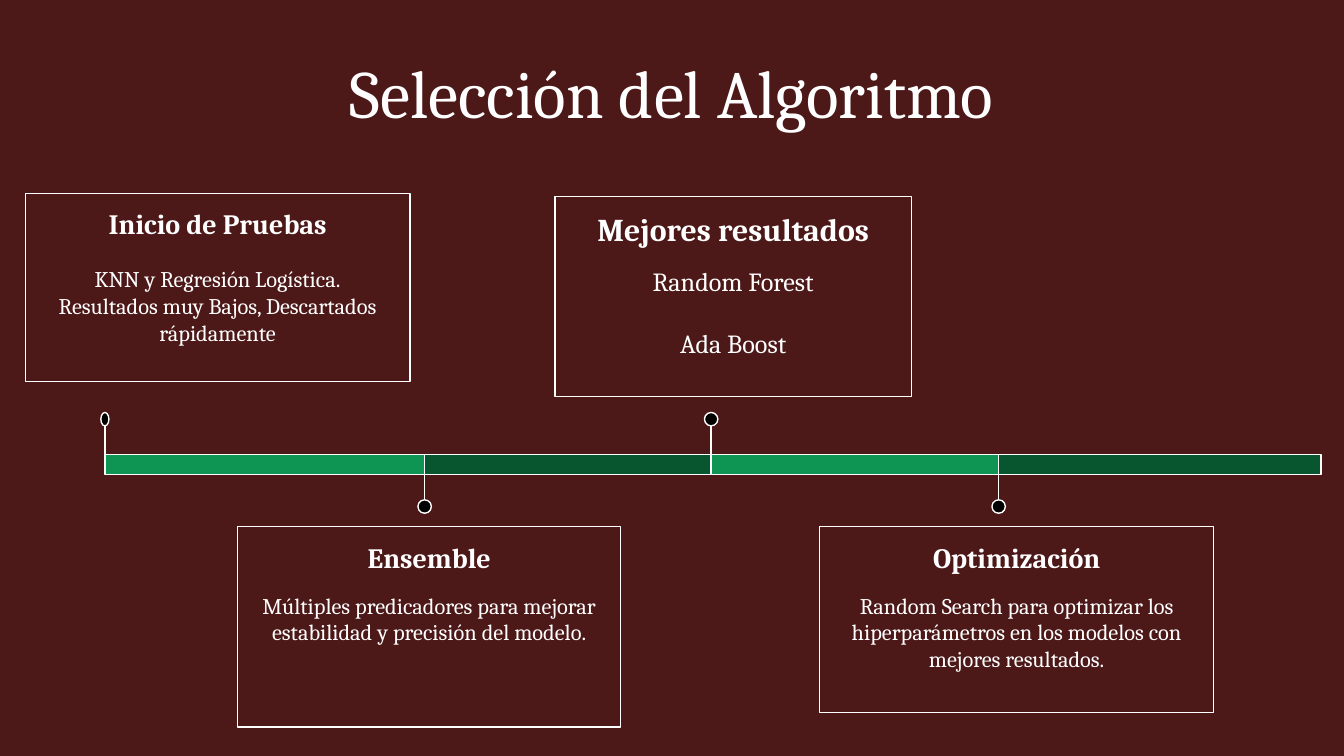
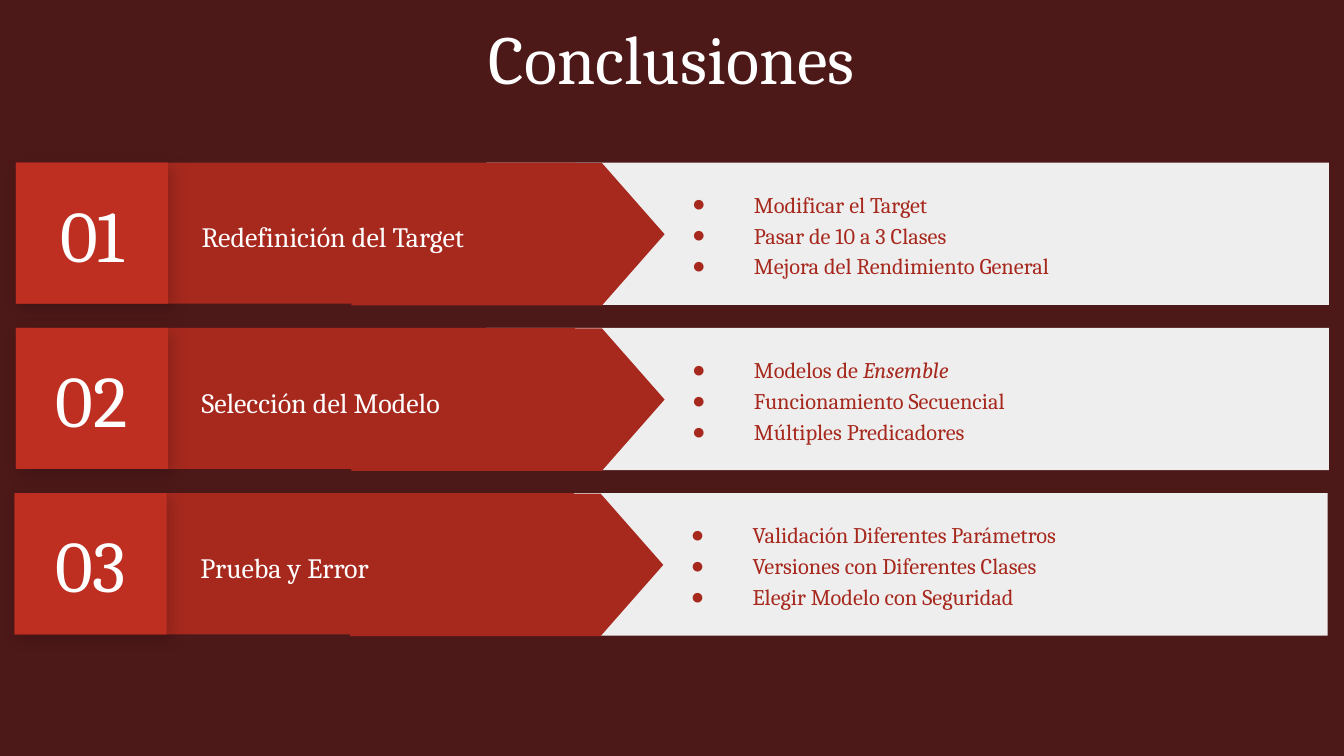
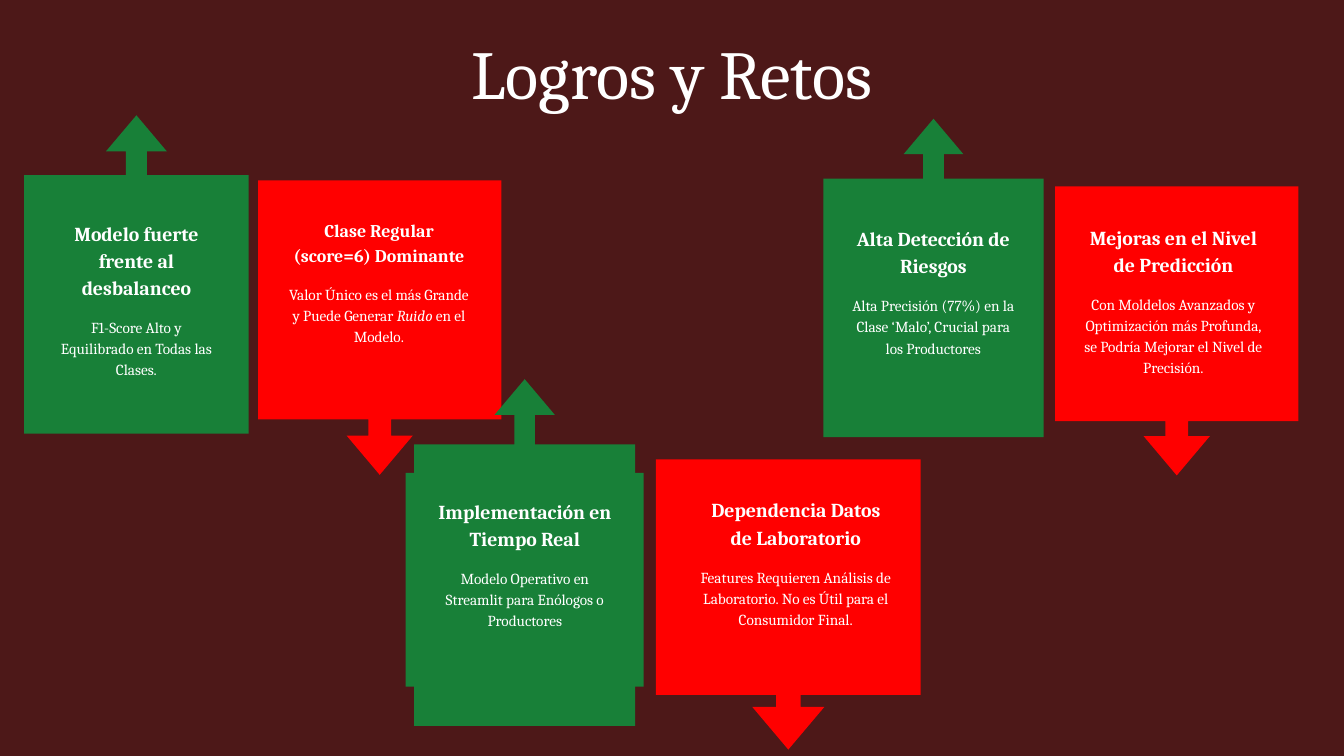
"""Build three slides on algorithm selection, conclusions, and achievements and challenges."""
from lxml import etree
from pptx import Presentation
from pptx.dml.color import RGBColor
from pptx.enum.shapes import MSO_CONNECTOR, MSO_SHAPE
from pptx.enum.text import MSO_ANCHOR, MSO_AUTO_SIZE, PP_ALIGN
from pptx.oxml.ns import qn
from pptx.util import Pt

RECTANGLE, ELLIPSE = MSO_SHAPE.RECTANGLE, MSO_SHAPE.OVAL
CHEVRON_END = MSO_SHAPE.FLOWCHART_OFFPAGE_CONNECTOR
CALLOUT, SNIPPED = MSO_SHAPE.RIGHT_ARROW_CALLOUT, MSO_SHAPE.SNIP_1_RECTANGLE
STRAIGHT = MSO_CONNECTOR.STRAIGHT
TOP, MIDDLE = MSO_ANCHOR.TOP, MSO_ANCHOR.MIDDLE
LEFT, CENTER = PP_ALIGN.LEFT, PP_ALIGN.CENTER
NO_AUTOFIT = MSO_AUTO_SIZE.NONE

FONT = "Cambria"
BACKGROUND, WHITE, BLACK = "4D1818", "FFFFFF", "000000"
TIMELINE_COLORS = ("0E9453", "085630")
PANEL, BAND, NUMBER_COLORS = "EEEEEE", "A7291E", ("B02B20", "BE2F22")
ACHIEVEMENT, CHALLENGE = "188038", "FF0000"
TITLE_ONLY, COMPARISON = 5, 4

BAR_TOP, BAR_HEIGHT, DOT = 243.4, 10.8, 7.2
STAGES = [
    {"bar": (56.2, 174.2), "dot": 4.3, "card": (13.7, 103.7, 205.9, 100.8),
     "title": "Inicio de Pruebas", "sizes": (15, 12), "gaps": (13.2, 0),
     "body": ["KNN y Regresión Logística.", "Resultados muy Bajos, Descartados rápidamente"]},
    {"bar": (227.5, 154), "dot": DOT, "card": (127.4, 282.2, 205.2, 107.3),
     "title": "Ensemble", "sizes": (15, 12), "gaps": (9.6, 0),
     "body": ["Múltiples predicadores para mejorar estabilidad y precisión del modelo."]},
    {"bar": (381, 154), "dot": DOT, "card": (297.4, 105.1, 190.8, 107.3),
     "title": "Mejores resultados", "sizes": (17, 14), "gaps": (9.6, 16),
     "body": ["Random Forest", "Ada Boost"]},
    {"bar": (535, 172.8), "dot": DOT, "card": (439.2, 282.2, 211, 99.4),
     "title": "Optimización", "sizes": (15, 12), "gaps": (9.6, 0),
     "body": ["Random Search para optimizar los hiperparámetros en los modelos con mejores resultados."]},
]

ROWS_TOP, ROW_STEP = 87.1, 88.56
CONCLUSIONS = [
    (8.6, "Redefinición del Target",
     ["Modificar el Target", "Pasar de 10 a 3 Clases", "Mejora del Rendimiento General"]),
    (8.6, "Selección del Modelo",
     ["Modelos de *Ensemble*", "Funcionamiento Secuencial", "Múltiples Predicadores"]),
    (7.9, "Prueba y Error",
     ["Validación Diferentes Parámetros", "Versiones con Diferentes Clases",
      "Elegir Modelo con Seguridad"]),
]
LIST_PLACEHOLDERS, SPARE_PLACEHOLDER = (1, 2, 4), 3

CALLOUT_SHIFT, CALLOUT_SHAPE = 14.6, (0.093, 0.136, 0.161, 0.812)
OUTCOMES = [
    (ACHIEVEMENT, (14.4, 103.7, 117.4, 115.9), (23.8, 110.9, 98.6, 97.2), (170.6, 120.2), 10.6,
     "Modelo fuerte frente al desbalanceo",
     "F1-Score Alto y Equilibrado en Todas las Clases."),
    (CHALLENGE, (144.7, 103, 117.4, 115.9), (148.3, 110.2, 109.4, 97.2), (157.7, 130.3), 9.6,
     "Clase Regular (score=6) Dominante",
     "Valor Único es el más Grande y Puede Generar *Ruido* en el Modelo."),
    (ACHIEVEMENT, (441.4, 106.6, 117.4, 113.8), (450.7, 113.8, 98.6, 95), (170.6, 118), 10.6,
     "Alta Detección de Riesgos",
     "Alta Precisión (77%) en la Clase ‘Malo’, Crucial para los Productores"),
    (CHALLENGE, (571.7, 105.8, 117.4, 113.8), (571.7, 113, 113.8, 95), (154.8, 130.3), 10.6,
     "Mejoras en el Nivel de Predicción",
     "Con Moldelos Avanzados y Optimización más Profunda, se Podría Mejorar el Nivel de Precisión."),
    (ACHIEVEMENT, (217.4, 253.4, 127.4, 114.5), (227.5, 259.9, 107.3, 95.8), (185.8, 118.4), 10.6,
     "Implementación en Tiempo Real",
     "Modelo Operativo en Streamlit para Enólogos o Productores"),
    (CHALLENGE, (358.6, 252, 127.4, 114.5), (369.4, 259.2, 113.8, 95.8), (155.5, 141.8), 10.6,
     "Dependencia Datos de Laboratorio",
     "Features Requieren Análisis de Laboratorio. No es Útil para el Consumidor Final."),
]


def color(value):
    return RGBColor.from_string(value)


def assign(target, **values):
    for name, value in values.items():
        setattr(target, name, value)


def place(shape, box):
    for name, value in zip(("left", "top", "width", "height"), box):
        setattr(shape, name, Pt(value))


def add_shape(slide, kind, box, fill=None, line=None):
    shape = slide.shapes.add_shape(kind, *map(Pt, box))
    shape.shadow.inherit = False
    if fill:
        shape.fill.solid()
        shape.fill.fore_color.rgb = color(fill)
    else:
        shape.fill.background()
    if line:
        shape.line.color.rgb = color(line)
        shape.line.width = Pt(0.75)
    else:
        shape.line.fill.background()
    return shape


def entry(text, size, bold=False, before=0):
    return {"text": text, "size": size, "bold": bold, "before": before}


def write(shape, entries, ink=WHITE, align=CENTER, anchor=TOP, inset=7.2, spacing=1.0, bullet=None):
    frame = shape.text_frame
    assign(frame, word_wrap=True, auto_size=NO_AUTOFIT, vertical_anchor=anchor)
    assign(frame, **{f"margin_{side}": Pt(inset) for side in ("left", "top", "right", "bottom")})
    for index, item in enumerate(entries):
        paragraph = frame.paragraphs[0] if index == 0 else frame.add_paragraph()
        if bullet:
            add_bullet(paragraph, bullet, ink)
        assign(paragraph, alignment=align, line_spacing=spacing,
               space_before=Pt(item["before"]), space_after=Pt(0))
        for part, text in enumerate(item["text"].split("*")):
            if text:
                run = paragraph.add_run()
                run.text = text
                assign(run.font, name=FONT, size=Pt(item["size"]), bold=item["bold"], italic=part % 2 == 1)
                run.font.color.rgb = color(ink)


def add_bullet(paragraph, character, ink):
    properties = paragraph._p.get_or_add_pPr()
    properties.set("marL", str(Pt(54)))
    properties.set("indent", str(Pt(-33.1)))
    bullet_color = etree.SubElement(properties, qn("a:buClr"))
    etree.SubElement(bullet_color, qn("a:srgbClr"), val=ink)
    etree.SubElement(properties, qn("a:buChar"), char=character)


def add_shadow(shape):
    effects = shape.element.spPr.find(qn("a:effectLst"))
    shadow = etree.SubElement(effects, qn("a:outerShdw"), blurRad=str(Pt(8.4)), dist=str(Pt(3.4)),
                              dir="2700000", algn="bl", rotWithShape="0")
    shadow_color = etree.SubElement(shadow, qn("a:srgbClr"), val=BLACK)
    etree.SubElement(shadow_color, qn("a:alpha"), val="17000")


def add_slide(presentation, layout, title, top, size, anchor=MIDDLE):
    slide = presentation.slides.add_slide(presentation.slide_layouts[layout])
    place(slide.shapes.title, (24.5, top, 671, 45.4))
    write(slide.shapes.title, [entry(title, size)], anchor=anchor)
    return slide


def add_stage(slide, index, stage):
    left, width = stage["bar"]
    above = index % 2 == 0
    add_shape(slide, RECTANGLE, (left, BAR_TOP, width, BAR_HEIGHT), TIMELINE_COLORS[index % 2], WHITE)
    start, end = (225.4, BAR_TOP + BAR_HEIGHT) if above else (271.4, BAR_TOP)
    pin = slide.shapes.add_connector(STRAIGHT, Pt(left), Pt(start), Pt(left), Pt(end))
    pin.line.color.rgb = color(WHITE)
    pin.line.width = Pt(0.75)
    etree.SubElement(pin.element.spPr, qn("a:effectLst"))
    dot_box = (left - stage["dot"] / 2, 221 if above else 267.8, stage["dot"], DOT)
    add_shape(slide, ELLIPSE, dot_box, BLACK, WHITE)
    card = add_shape(slide, RECTANGLE, stage["card"], line=WHITE)
    title_size, body_size = stage["sizes"]
    first_gap, next_gap = stage["gaps"]
    body = [entry(text, body_size, before=next_gap if position else first_gap)
            for position, text in enumerate(stage["body"])]
    write(card, [entry(stage["title"], title_size, True)] + body)


def add_conclusion(slide, index, left, heading, points):
    top = ROWS_TOP + index * ROW_STEP
    panel = add_shape(slide, RECTANGLE, (left + 252, top, 451.4, 76.3), PANEL)
    add_shape(slide, RECTANGLE, (left + 81.4, top, 218.2, 75.6), BAND)
    tip = add_shape(slide, CHEVRON_END, (left + 225.4, top - 45.5, 76.3, 167.8), BAND)
    tip.rotation = 270
    label = slide.shapes.add_textbox(*map(Pt, (left + 88.6, top + 9.2, 229, 58.3)))
    write(label, [entry(heading, 15)], align=LEFT, anchor=MIDDLE, inset=10.8, spacing=1.15)
    shaded, number = [add_shape(slide, RECTANGLE, (left, top, 81.4, 75.6), fill) for fill in NUMBER_COLORS]
    add_shadow(shaded)
    write(number, [entry(f"{index + 1:02}", 39)], anchor=MIDDLE, inset=10.8)
    point_list = slide.placeholders[LIST_PLACEHOLDERS[index]]
    place(point_list, (left + 330.5, top, 350.6, 75.6))
    write(point_list, [entry(point, 12) for point in points], BAND, LEFT, MIDDLE, 10.8, 1.15, "●")
    panel.element.addnext(point_list.element)


def add_outcome(slide, fill, box, text_box, callout_size, title_size, title, body):
    left, top, width, height = box
    length, across = callout_size
    upward = fill == ACHIEVEMENT
    center_y = top + height / 2 + (-CALLOUT_SHIFT if upward else CALLOUT_SHIFT)
    callout_box = (left + width / 2 - length / 2, center_y - across / 2, length, across)
    callout = add_shape(slide, CALLOUT, callout_box, fill)
    callout.rotation = 270 if upward else 90
    for position, value in enumerate(CALLOUT_SHAPE):
        callout.adjustments[position] = value
    add_shape(slide, SNIPPED, box, fill).adjustments[0] = 0
    card = add_shape(slide, RECTANGLE, text_box, fill)
    write(card, [entry(title, title_size, True), entry(body, 8.2, before=8.5)], inset=5.8, spacing=1.15)


def main():
    presentation = Presentation()
    assign(presentation, slide_width=Pt(720), slide_height=Pt(405))
    background = presentation.slide_master.background.fill
    background.solid()
    background.fore_color.rgb = color(BACKGROUND)

    selection = add_slide(presentation, TITLE_ONLY, "Selección del Algoritmo", 20.2, 36.2, TOP)
    for index, stage in enumerate(STAGES):
        add_stage(selection, index, stage)

    conclusions = add_slide(presentation, COMPARISON, "Conclusiones", 8, 36.8)
    for index, row in enumerate(CONCLUSIONS):
        add_conclusion(conclusions, index, *row)
    spare = conclusions.placeholders[SPARE_PLACEHOLDER].element
    spare.getparent().remove(spare)

    outcomes = add_slide(presentation, TITLE_ONLY, "Logros y Retos", 15.8, 36.8)
    for outcome in OUTCOMES:
        add_outcome(outcomes, *outcome)
    presentation.save("out.pptx")


if __name__ == "__main__":
    main()
